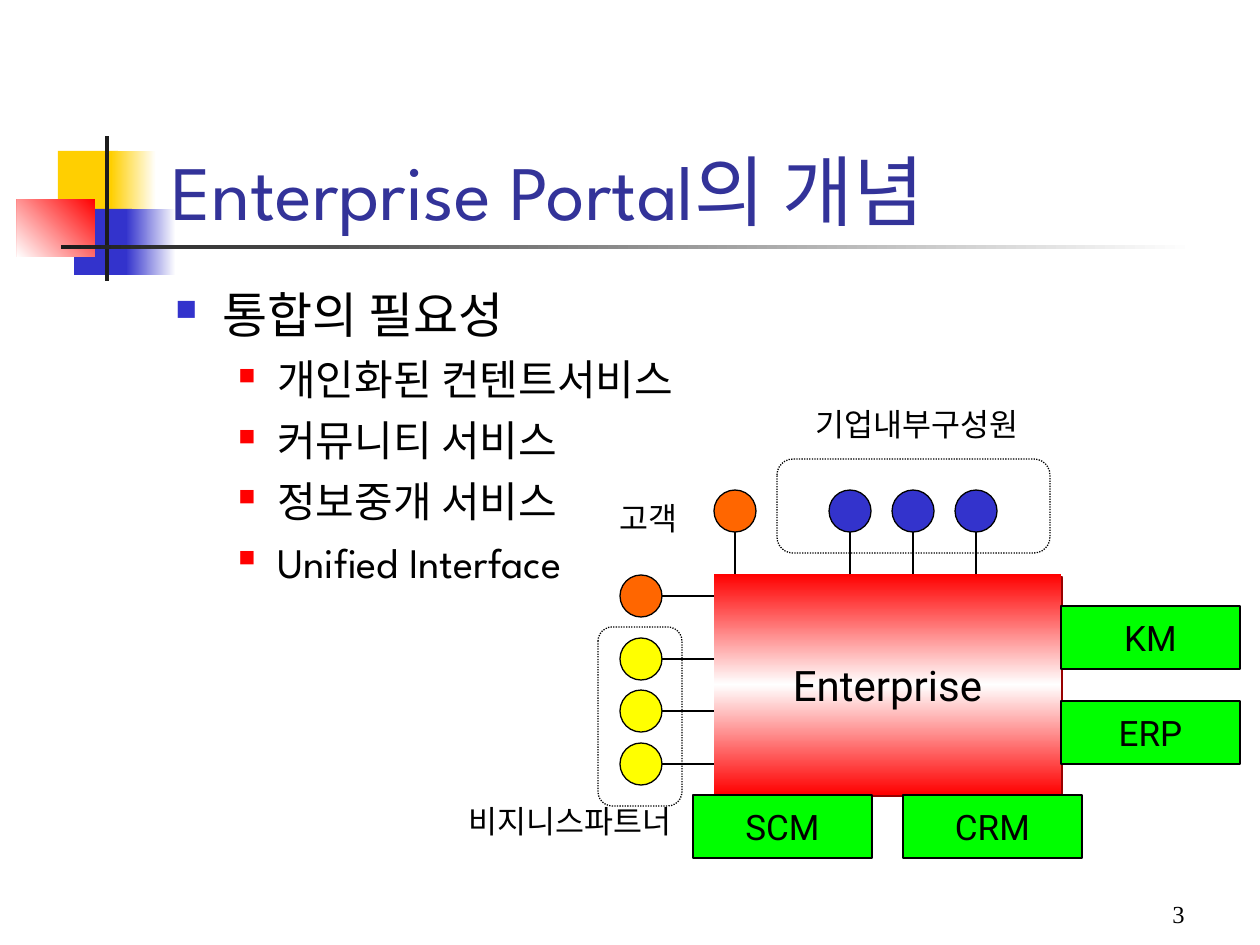
from dataclasses import dataclass

from lxml.etree import SubElement
from pptx import Presentation
from pptx.dml.color import RGBColor
from pptx.enum.dml import MSO_LINE
from pptx.enum.shapes import MSO_CONNECTOR, MSO_SHAPE
from pptx.enum.text import MSO_ANCHOR, PP_ALIGN
from pptx.oxml.ns import qn
from pptx.util import Pt

EMU_PER_PX = 914400 / 126


@dataclass(frozen=True)
class Theme:
    heading_font: str = "League Spartan"
    diagram_font: str = "Roboto"
    number_font: str = "Times New Roman"
    title_size: int = 44
    topic_size: int = 28
    point_size: int = 24
    hub_size: int = 24
    module_size: int = 20
    label_size: int = 18
    number_size: int = 14
    line_width: float = 0.75
    title: str = "333399"
    black: str = "000000"
    white: str = "FFFFFF"
    rule: str = "1C1C1C"
    gold: str = "FFCF01"
    blue: str = "3333CC"
    red: str = "FF0000"
    shadow: str = "980000"
    green: str = "00FF00"
    orange: str = "FF6600"
    yellow: str = "FFFF00"


THEME = Theme()
HUB = (714, 574, 347, 221)
CIRCLE = 42


def px(length):
    return round(length * EMU_PER_PX)


def color(value):
    return RGBColor.from_string(value)


def style_paragraph(paragraph, size, font, ink=THEME.black, align=PP_ALIGN.LEFT):
    paragraph.alignment = align
    paragraph.font.size = Pt(size)
    paragraph.font.name = font
    paragraph.font.color.rgb = color(ink)


def add_shape(slide, box, fill=None, outline=None, kind=MSO_SHAPE.RECTANGLE):
    shape = slide.shapes.add_shape(kind, *map(px, box))
    shape.shadow.inherit = False
    if fill:
        shape.fill.solid()
        shape.fill.fore_color.rgb = color(fill)
    else:
        shape.fill.background()
    if outline:
        shape.line.color.rgb = color(outline)
        shape.line.width = Pt(THEME.line_width)
    else:
        shape.line.fill.background()
    return shape


def add_gradient(slide, box, colors, clockwise_angle):
    """Add a borderless rectangle whose colors are evenly spaced stops."""
    shape = add_shape(slide, box)
    shape.fill.gradient()
    shape.fill.gradient_angle = 360 - clockwise_angle
    stops = shape._element.spPr.find(f".//{qn('a:gsLst')}")
    for stop in list(stops):
        stops.remove(stop)
    for index, value in enumerate(colors):
        position = index * 100000 // (len(colors) - 1)
        stop = SubElement(stops, qn("a:gs"), pos=str(position))
        SubElement(stop, qn("a:srgbClr"), val=value)
    return shape


def add_caption(shape, text, size):
    frame = shape.text_frame
    frame.word_wrap = False
    frame.vertical_anchor = MSO_ANCHOR.MIDDLE
    frame.text = text
    style_paragraph(frame.paragraphs[0], size, THEME.diagram_font, align=PP_ALIGN.CENTER)


def add_text(slide, box, text, size, font, ink=THEME.black, align=PP_ALIGN.LEFT,
             anchor=MSO_ANCHOR.TOP, wrap=True):
    frame = slide.shapes.add_textbox(*map(px, box)).text_frame
    frame.word_wrap = wrap
    frame.vertical_anchor = anchor
    frame.text = text
    style_paragraph(frame.paragraphs[0], size, font, ink, align)
    return frame


def add_label(slide, box, text):
    add_text(slide, box, text, THEME.label_size, THEME.diagram_font, wrap=False)


def add_bullet(paragraph, ink, percent, left, hanging):
    properties = paragraph._p.get_or_add_pPr()
    properties.set("marL", str(px(left)))
    properties.set("indent", str(-px(hanging)))
    bullet_color = SubElement(properties, qn("a:buClr"))
    SubElement(bullet_color, qn("a:srgbClr"), val=ink)
    SubElement(properties, qn("a:buSzPct"), val=str(percent * 1000))
    SubElement(properties, qn("a:buChar"), char="■")


def add_line(slide, *ends):
    line = slide.shapes.add_connector(MSO_CONNECTOR.STRAIGHT, *map(px, ends))
    line.line.color.rgb = color(THEME.black)
    line.line.width = Pt(THEME.line_width)
    SubElement(line._element.spPr, qn("a:effectLst"))


def add_member(slide, left, top, fill, above):
    """Add a circle and the line joining it to the hub below or to its right."""
    add_shape(slide, (left, top, CIRCLE, CIRCLE), fill, THEME.black, MSO_SHAPE.OVAL)
    middle_x, middle_y = left + CIRCLE // 2, top + CIRCLE // 2
    if above:
        add_line(slide, middle_x, top + CIRCLE, middle_x, HUB[1])
    else:
        add_line(slide, left + CIRCLE, middle_y, HUB[0], middle_y)


def add_group_frame(slide, box):
    frame = add_shape(slide, box, outline=THEME.black, kind=MSO_SHAPE.ROUNDED_RECTANGLE)
    frame.adjustments[0] = 0.17
    frame.line.dash_style = MSO_LINE.ROUND_DOT


def add_decoration(slide):
    add_shape(slide, (58, 151, 60, 66), THEME.gold)
    add_gradient(slide, (111, 151, 45, 66), [THEME.white, THEME.gold], 180)
    add_shape(slide, (74, 209, 58, 66), THEME.blue)
    add_gradient(slide, (126, 209, 50, 66), [THEME.white, THEME.blue], 180)
    add_gradient(slide, (17, 199, 78, 58), [THEME.red, THEME.white], 135)
    add_shape(slide, (105, 136, 4, 145), THEME.rule)
    add_gradient(slide, (61, 245, 1134, 4), [THEME.white, THEME.rule], 180)


def add_points(slide, topic, points):
    frame = add_text(slide, (163, 278, 1071, 593), topic, THEME.topic_size, THEME.heading_font)
    add_bullet(frame.paragraphs[0], THEME.blue, 60, 47, 47)
    for point in points:
        paragraph = frame.add_paragraph()
        paragraph.text = point
        paragraph.level = 1
        add_bullet(paragraph, THEME.red, 55, 102, 39)
        paragraph.space_before = Pt(6)
        style_paragraph(paragraph, THEME.point_size, THEME.heading_font)


def add_hub(slide):
    hub = add_gradient(slide, HUB, [THEME.red, THEME.white, THEME.red], 90)
    effects = hub._element.spPr.find(qn("a:effectLst"))
    shadow = SubElement(effects, qn("a:outerShdw"), dist=str(Pt(1.4)), dir="2700000")
    SubElement(shadow, qn("a:srgbClr"), val=THEME.shadow)
    add_caption(hub, "Enterprise", THEME.hub_size)


def add_diagram(slide):
    add_hub(slide)
    modules = [("KM", 1061, 606), ("ERP", 1061, 701), ("SCM", 693, 795), ("CRM", 903, 795)]
    for name, left, top in modules:
        module = add_shape(slide, (left, top, 179, 63), THEME.green, THEME.black)
        add_caption(module, name, THEME.module_size)

    for left, fill in [(829, THEME.blue), (892, THEME.blue), (955, THEME.blue), (714, THEME.orange)]:
        add_member(slide, left, 490, fill, above=True)
    for top, fill in [(575, THEME.orange), (638, THEME.yellow), (690, THEME.yellow), (743, THEME.yellow)]:
        add_member(slide, 620, top, fill, above=False)

    add_group_frame(slide, (777, 459, 273, 94))
    add_group_frame(slide, (598, 627, 84, 179))
    add_label(slide, (803, 399, 228, 50), "기업내부구성원")
    add_label(slide, (456, 796, 228, 50), "비지니스파트너")
    add_label(slide, (607, 493, 83, 50), "고객")


def main():
    presentation = Presentation()
    presentation.slide_width, presentation.slide_height = px(1260), px(945)
    slide = presentation.slides.add_slide(presentation.slide_layouts[6])
    add_decoration(slide)
    add_text(slide, (159, 84, 1074, 158), "Enterprise Portal의 개념", THEME.title_size,
             THEME.heading_font, THEME.title, anchor=MSO_ANCHOR.BOTTOM)
    add_points(slide, "통합의 필요성",
               ["개인화된 컨텐트서비스", "커뮤니티 서비스", "정보중개 서비스", "Unified Interface"])
    add_diagram(slide)
    add_text(slide, (935, 872, 262, 63), "3", THEME.number_size, THEME.number_font,
             align=PP_ALIGN.RIGHT, anchor=MSO_ANCHOR.BOTTOM)
    presentation.save("out.pptx")


if __name__ == "__main__":
    main()
